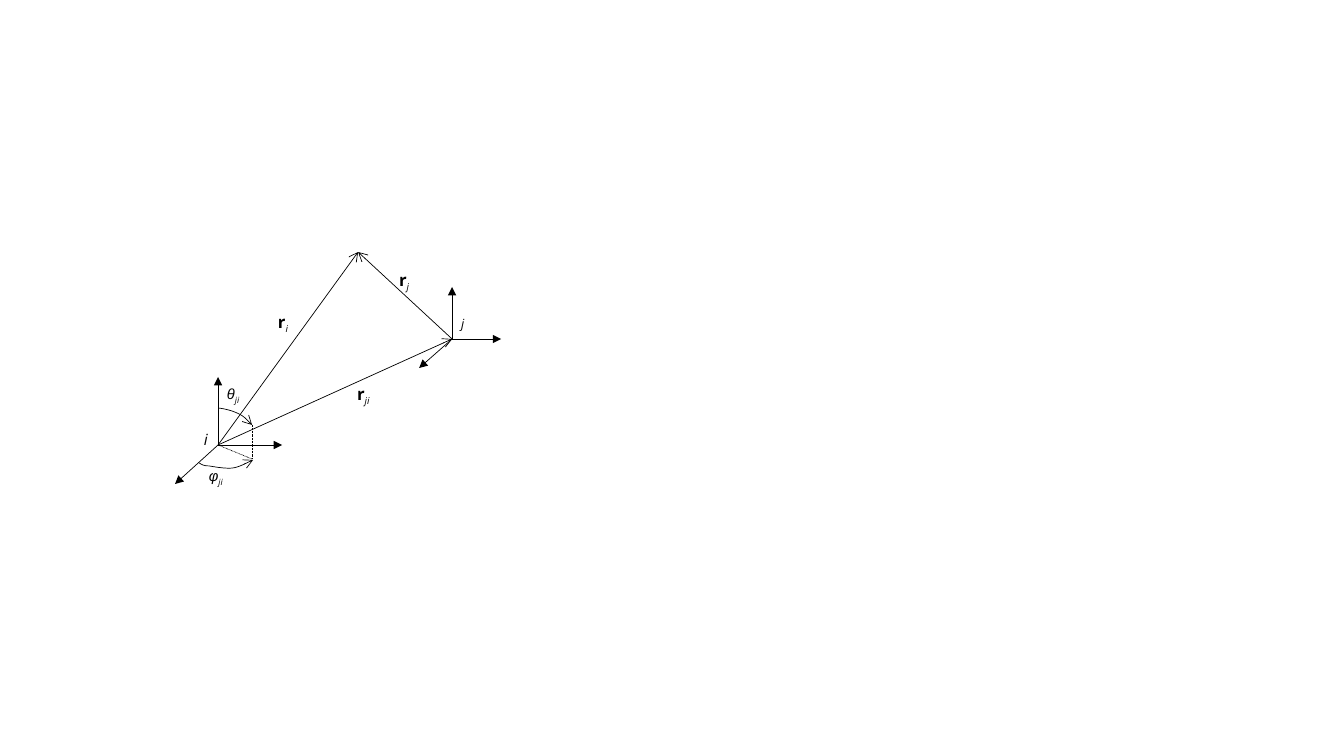
from dataclasses import dataclass

from lxml import etree
from pptx import Presentation
from pptx.dml.color import RGBColor
from pptx.enum.dml import MSO_LINE
from pptx.enum.shapes import MSO_CONNECTOR
from pptx.enum.text import MSO_AUTO_SIZE
from pptx.oxml.ns import qn
from pptx.util import Inches, Pt

STRAIGHT = MSO_CONNECTOR.STRAIGHT
DOTS = MSO_LINE.ROUND_DOT  # sysDot in the file
GROW = MSO_AUTO_SIZE.SHAPE_TO_FIT_TEXT
SCALE = 914400 / 100.8


@dataclass(frozen=True)
class Theme:
    ink: RGBColor = RGBColor(0, 0, 0)
    font: str = "Open Sans"
    greek: str = "Arial"
    line: float = 0.5
    vector: float = 12
    frame: float = 11
    small: float = 9
    angle: float = 10.5


THEME = Theme()


def px(n):
    return round(n * SCALE)


def ink(shape, head=None, dash=None):
    """Thin black line, optionally dashed or with an arrowhead at its end."""
    line = shape.line
    line.width = Pt(THEME.line)
    line.color.rgb = THEME.ink
    if dash:
        line.dash_style = dash
    props = shape.element.spPr
    if head:
        tail = etree.SubElement(props.find(qn("a:ln")), qn("a:tailEnd"))
        tail.set("type", head)
    if props.find(qn("a:effectLst")) is None:
        etree.SubElement(props, qn("a:effectLst"))


def link(group, start, end, head=None, dash=None):
    ends = [px(n) for n in (*start, *end)]
    ink(group.shapes.add_connector(STRAIGHT, *ends), head, dash)


def bend(a, b, c, d, steps=12):
    """Points along a cubic curve, after its start."""
    for k in range(1, steps + 1):
        t = k / steps
        u = 1 - t
        yield tuple(px(u**3 * p + 3 * u * u * t * q + 3 * u * t * t * r + t**3 * s)
                    for p, q, r, s in zip(a, b, c, d))


def arc(group, *knots):
    """Open curve: a start point, then three points for each cubic part."""
    pen = group.shapes.build_freeform(*map(px, knots[0]))
    for k in range(0, len(knots) - 1, 3):
        pen.add_line_segments(list(bend(*knots[k:k + 4])), close=False)
    shape = pen.convert_to_shape()
    shape.fill.background()
    ink(shape, "arrow")


def write(para, text, size, font=THEME.font, bold=False, sub=False):
    run = para.add_run()
    run.text = text
    face = run.font
    face.name, face.size = font, Pt(size)
    face.bold, face.italic = bold, not bold
    face.color.rgb = THEME.ink
    if sub:
        run._r.get_or_add_rPr().set("baseline", "-25000")


def label(group, x, y, text, size, sub="", wide=51, high=29, **style):
    box = group.shapes.add_textbox(*map(px, (x, y, wide, high)))
    frame = box.text_frame
    frame.word_wrap = True
    frame.auto_size = GROW
    para = frame.paragraphs[0]
    write(para, text, size, **style)
    if sub:
        write(para, sub, size, sub=True)


def main():
    deck = Presentation()
    deck.slide_width, deck.slide_height = Inches(13.33), Inches(7.5)
    slide = deck.slides.add_slide(deck.slide_layouts[6])
    group = slide.shapes.add_group_shape()

    # Axes of frames i and j
    base, far = (218, 445), (452, 339)
    axes = (
        (base, ((218, 377), (282, 445), (175, 484))),
        (far, ((452, 287), (501, 339), (419, 368))),
    )
    for hub, tips in axes:
        for tip in tips:
            link(group, hub, tip, "triangle")

    # Position vectors
    peak = (358, 252)
    for start, end in ((far, peak), (base, peak), (base, far)):
        link(group, start, end, "arrow")

    # Angles and the dotted projection
    foot = (252, 459)
    arc(group, (218, 408), (226, 409), (233, 411), (239, 414),
        (245, 417), (248, 421), (252, 425))
    link(group, (252, 425), foot, dash=DOTS)
    link(group, base, foot, dash=DOTS)
    arc(group, (199, 463), (201, 464), (203, 466), (209, 466),
        (215, 467), (226, 469), (233, 468), (240, 467), (246, 463), (253, 460))

    # Labels of vectors, frames and angles
    for x, y, sub in ((268, 307, "i"), (347, 379, "ji"), (389, 265, "j")):
        label(group, x, y, "r", THEME.vector, sub, high=30, bold=True)
    label(group, 194, 425, "i", THEME.frame)
    label(group, 451, 311, "j", THEME.small, wide=34, high=25)
    for x, y, sign in ((217, 380, "θ"), (199, 462, "φ")):
        label(group, x, y, sign, THEME.angle, "ji", font=THEME.greek)

    deck.save("out.pptx")


main()
